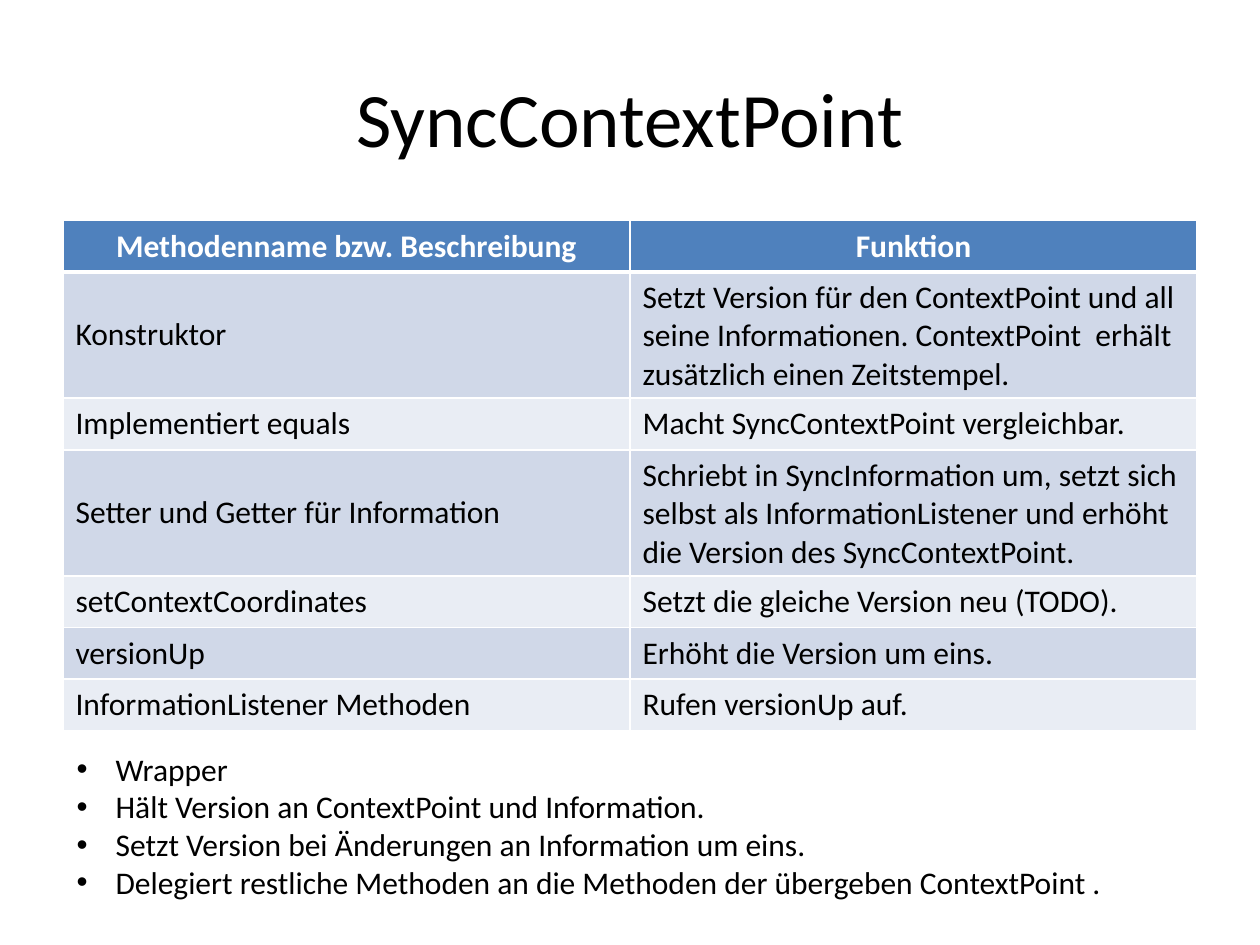
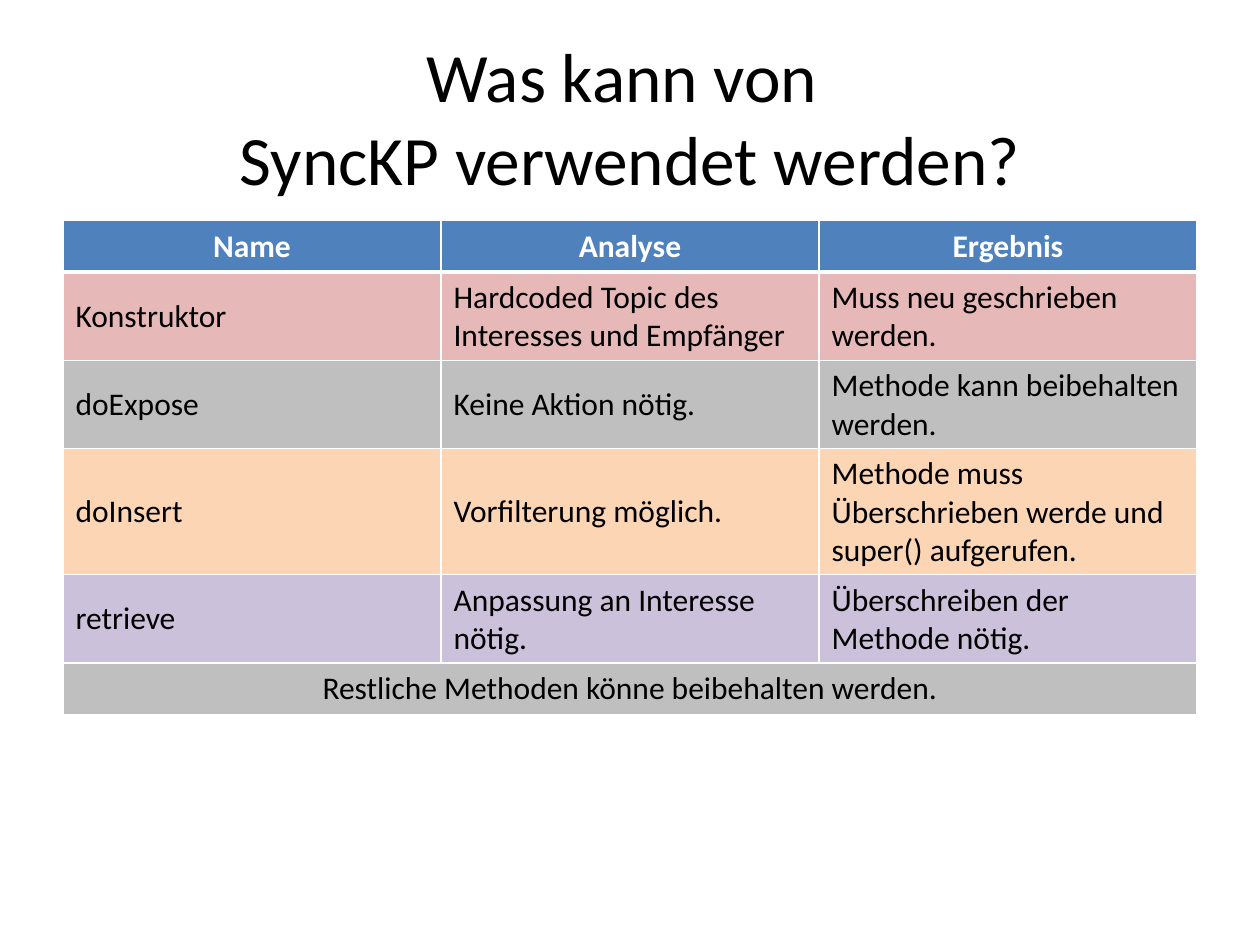
import dataclasses

import lxml.etree
import pptx
import pptx.dml.color
import pptx.enum.text
import pptx.oxml.ns
import pptx.util

Inches = pptx.util.Inches
Pt = pptx.util.Pt
ALIGN = pptx.enum.text.PP_ALIGN
MIDDLE = pptx.enum.text.MSO_ANCHOR.MIDDLE


@dataclasses.dataclass(frozen=True)
class Theme:
    font: str = "Calibri"
    title_size: float = 44
    long_title_size: float = 39.6
    body_size: float = 18
    text: str = "000000"
    white: str = "FFFFFF"
    header: str = "4F81BD"
    band_dark: str = "D0D8E8"
    band_light: str = "E9EDF4"
    red: str = "E6B9B8"
    grey: str = "BFBFBF"
    orange: str = "FCD5B5"
    purple: str = "CCC1DA"
    thin_border: float = 1
    thick_border: float = 3


THEME = Theme()
LEFT, WIDTH = 0.5, 9
TITLE_TOP, TITLE_HEIGHT = 0.3, 1.25
TABLE_TOP, ROW_HEIGHT = 1.75, 0.41


def color(value):
    return pptx.dml.color.RGBColor.from_string(value)


def add_element(parent, tag, **attributes):
    return lxml.etree.SubElement(parent, pptx.oxml.ns.qn(tag), attributes)


def write(paragraph, text, size=THEME.body_size, ink=THEME.text, bold=False,
          alignment=ALIGN.LEFT):
    paragraph.text = text
    paragraph.alignment = alignment
    font_format = {"name": THEME.font, "size": Pt(size), "bold": bold}
    for name, value in font_format.items():
        setattr(paragraph.font, name, value)
    paragraph.font.color.rgb = color(ink)


def add_text_box(slide, left, top, width, height, **frame_format):
    box = slide.shapes.add_textbox(
        Inches(left), Inches(top), Inches(width), Inches(height))
    for name, value in {"word_wrap": True, **frame_format}.items():
        setattr(box.text_frame, name, value)
    return box.text_frame


def add_title(slide, text, size=THEME.title_size):
    frame = add_text_box(slide, LEFT, TITLE_TOP, WIDTH, TITLE_HEIGHT,
                         vertical_anchor=MIDDLE)
    write(frame.paragraphs[0], text, size, alignment=ALIGN.CENTER)


def add_bullets(slide, left, top, width, height, items):
    frame = add_text_box(slide, left, top, width, height)
    for index, item in enumerate(items):
        paragraph = frame.add_paragraph() if index else frame.paragraphs[0]
        properties = paragraph._p.get_or_add_pPr()
        properties.set("marL", str(Inches(0.31)))
        properties.set("indent", str(Inches(-0.31)))
        add_element(properties, "a:buFont", typeface="Arial")
        add_element(properties, "a:buChar", char="•")
        write(paragraph, item)


def set_borders(cell, top, bottom):
    properties = cell._tc.get_or_add_tcPr()
    widths = {"L": THEME.thin_border, "R": THEME.thin_border,
              "T": top, "B": bottom}
    for side, width in widths.items():
        line = add_element(properties, f"a:ln{side}", w=str(Pt(width)))
        fill = add_element(line, "a:solidFill")
        add_element(fill, "a:srgbClr", val=THEME.white)


def add_table(slide, headings, rows, row_fills):
    """Draw a header and body rows; a row with one text spans all columns."""
    columns = len(headings)
    table = slide.shapes.add_table(
        len(rows) + 1, columns, Inches(LEFT), Inches(TABLE_TOP),
        Inches(WIDTH), Inches(ROW_HEIGHT * (len(rows) + 1))).table
    table.first_row = table.horz_banding = False
    for column in table.columns:
        column.width = Inches(WIDTH / columns)

    fills = [THEME.header, *row_fills]
    for row_index, texts in enumerate([headings, *rows]):
        table.rows[row_index].height = Inches(ROW_HEIGHT)
        is_header = row_index == 0
        spans = len(texts) == 1
        top = THEME.thick_border if row_index == 1 else THEME.thin_border
        bottom = THEME.thick_border if is_header else THEME.thin_border
        for column_index in range(columns):
            cell = table.cell(row_index, column_index)
            set_borders(cell, top, bottom)
            cell.fill.solid()
            cell.fill.fore_color.rgb = color(fills[row_index])
            cell.vertical_anchor = MIDDLE
        if spans:
            table.cell(row_index, 0).merge(table.cell(row_index, columns - 1))
        for column_index, text in enumerate(texts):
            write(table.cell(row_index, column_index).text_frame.paragraphs[0],
                  text, ink=THEME.white if is_header else THEME.text,
                  bold=is_header,
                  alignment=ALIGN.CENTER if is_header or spans else ALIGN.LEFT)


def build_context_point(slide):
    add_title(slide, "SyncContextPoint")
    methods = [
        ("Konstruktor",
         "Setzt Version für den ContextPoint und all seine Informationen. "
         "ContextPoint  erhält zusätzlich einen Zeitstempel."),
        ("Implementiert equals", "Macht SyncContextPoint vergleichbar."),
        ("Setter und Getter für Information",
         "Schriebt in SyncInformation um, setzt sich selbst als "
         "InformationListener und erhöht die Version des SyncContextPoint."),
        ("setContextCoordinates", "Setzt die gleiche Version neu (TODO)."),
        ("versionUp", "Erhöht die Version um eins."),
        ("InformationListener Methoden", "Rufen versionUp auf."),
    ]
    bands = [THEME.band_dark, THEME.band_light] * (len(methods) // 2)
    add_table(slide, ("Methodenname bzw. Beschreibung", "Funktion"),
              methods, bands)
    add_bullets(slide, 0.51, 5.9, 8.9, 1.31, [
        "Wrapper",
        "Hält Version an ContextPoint und Information.",
        "Setzt Version bei Änderungen an Information um eins.",
        "Delegiert restliche Methoden an die Methoden der übergeben "
        "ContextPoint .",
    ])


def build_reuse_analysis(slide):
    add_title(slide, "Was kann von \nSyncKP verwendet werden?",
              THEME.long_title_size)
    findings = [
        ("Konstruktor", "Hardcoded Topic des Interesses und Empfänger",
         "Muss neu geschrieben werden."),
        ("doExpose", "Keine Aktion nötig.",
         "Methode kann beibehalten werden."),
        ("doInsert", "Vorfilterung möglich.",
         "Methode muss Überschrieben werde und super() aufgerufen."),
        ("retrieve", "Anpassung an Interesse nötig.",
         "Überschreiben der Methode nötig."),
        ("Restliche Methoden könne beibehalten werden.",),
    ]
    add_table(slide, ("Name", "Analyse", "Ergebnis"), findings,
              [THEME.red, THEME.grey, THEME.orange, THEME.purple, THEME.grey])


def main():
    presentation = pptx.Presentation()
    presentation.slide_width = Inches(10)
    presentation.slide_height = Inches(7.5)
    blank_layout = presentation.slide_layouts[6]
    for build in (build_context_point, build_reuse_analysis):
        build(presentation.slides.add_slide(blank_layout))
    presentation.save("out.pptx")


if __name__ == "__main__":
    main()
